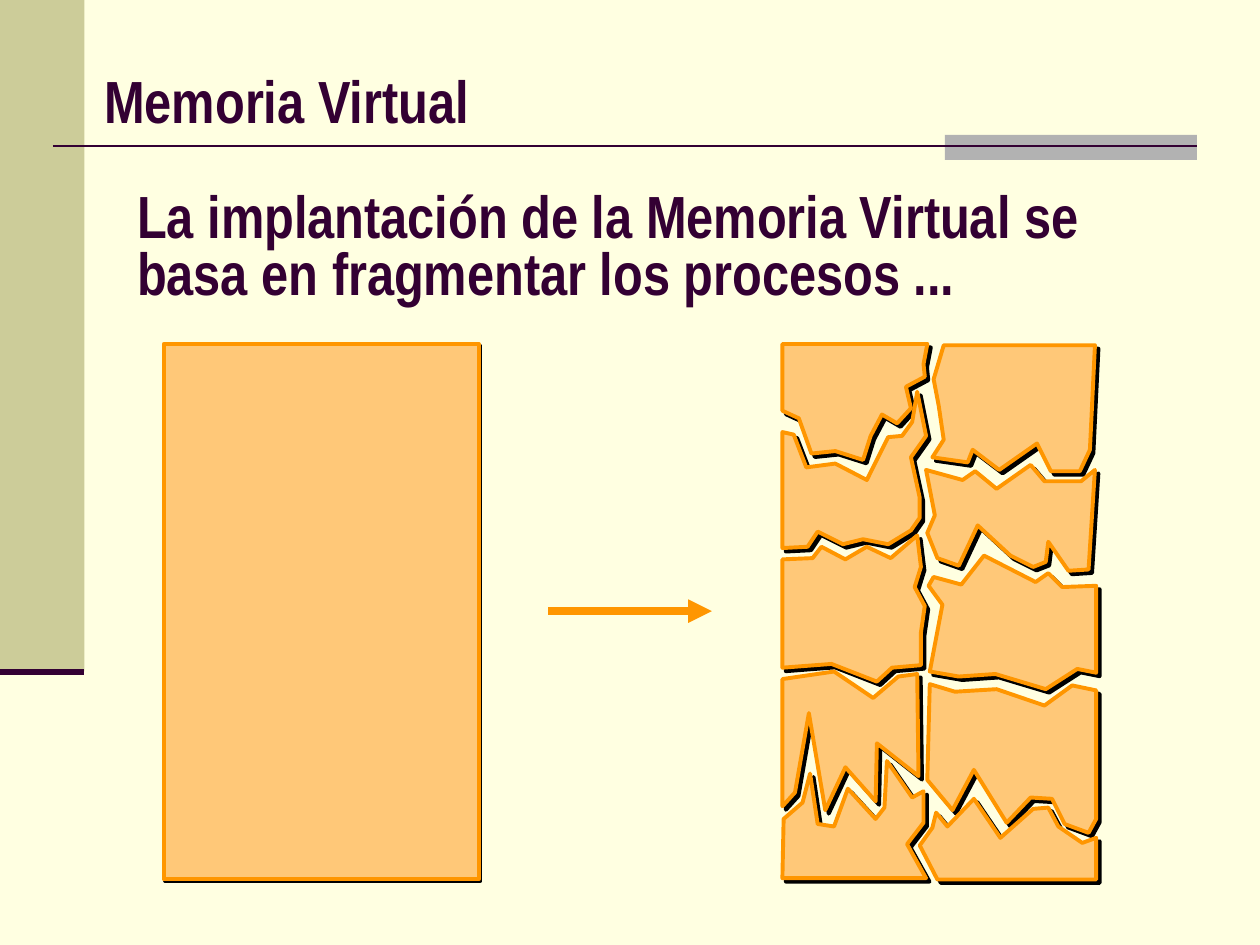
from lxml import etree
from pptx import Presentation, util as u
from pptx.dml.color import RGBColor
from pptx.enum import shapes, text
from pptx.oxml.ns import qn

COLS, ROWS = 1000, 750
DARK, SAND, GREY = "330033", "CCCC99", "B2B2B2"
FILL, EDGE = "FFC878", "FF9600"

# Outline points of each fragment, in columns and rows
LEFT = [
    [(621, 273), (736, 273), (733, 289), (734, 299), (719, 307), (723, 324),
     (712, 336), (700, 329), (691, 346), (685, 365), (663, 358), (644, 360),
     (634, 332), (621, 326)],
    [(621, 343), (630, 345), (640, 371), (663, 368), (688, 381), (705, 347),
     (716, 346), (724, 335), (728, 311), (735, 346), (723, 363), (730, 395),
     (730, 411), (723, 421), (705, 432), (685, 428), (669, 432), (649, 422),
     (641, 434), (621, 435)],
    [(621, 444), (645, 443), (652, 434), (671, 444), (688, 434), (707, 443),
     (728, 425), (731, 450), (726, 466), (734, 481), (731, 502), (731, 528),
     (708, 530), (696, 541), (660, 527), (621, 530)],
    [(621, 539), (662, 533), (693, 554), (713, 537), (728, 535), (729, 616),
     (696, 590), (695, 636), (671, 609), (655, 643), (642, 566), (631, 629),
     (621, 640)],
    [(622, 650), (637, 637), (643, 614), (649, 654), (662, 656), (673, 626),
     (695, 650), (702, 641), (704, 604), (724, 633), (733, 628), (733, 653),
     (720, 670), (735, 697), (621, 697)],
]
RIGHT = [
    [(869, 274), (749, 274), (741, 301), (745, 322), (749, 349), (740, 363),
     (768, 367), (772, 357), (793, 373), (823, 352), (834, 374), (857, 374),
     (865, 357)],
    [(869, 373), (858, 382), (829, 382), (818, 369), (791, 388), (774, 374),
     (764, 381), (735, 373), (742, 409), (736, 423), (744, 443), (761, 449),
     (776, 417), (802, 441), (820, 450), (830, 446), (832, 430), (848, 453),
     (864, 452)],
    [(870, 465), (843, 466), (832, 455), (822, 462), (781, 441), (763, 464),
     (741, 458), (737, 465), (748, 480), (741, 517), (738, 533), (761, 537),
     (790, 535), (830, 547), (855, 531), (870, 534)],
    [(870, 548), (851, 544), (829, 560), (791, 547), (758, 549), (738, 543),
     (736, 619), (756, 643), (773, 611), (799, 653), (818, 633), (835, 634),
     (845, 654), (864, 661), (870, 650)],
    [(870, 665), (859, 669), (840, 656), (832, 641), (820, 642), (794, 665),
     (773, 634), (752, 656), (743, 645), (740, 657), (730, 671), (744, 698),
     (870, 698)],
]


def rgb(code):
    return RGBColor.from_string(code)


class Deck:
    font, size, ink = "Arial Narrow", 34, DARK

    def __init__(self, back):
        self.file = Presentation()
        self.file.slide_width, self.file.slide_height = u.Inches(10), u.Inches(7.5)
        self.unit = self.file.slide_width // COLS
        self.slide = self.file.slides.add_slide(self.file.slide_layouts[6])
        self.slide.background.fill.solid()
        self.slide.background.fill.fore_color.rgb = rgb(back)

    def grid(self, *cells):
        return [cell * self.unit for cell in cells]

    def paint(self, shape, fill, edge=None, drop=0):
        shape.shadow.inherit = False
        shape.fill.solid()
        shape.fill.fore_color.rgb = rgb(fill)
        if edge:
            shape.line.color.rgb = rgb(edge)
            shape.line.width = u.Pt(2.25)
        else:
            shape.line.fill.background()
        if drop:
            effects = shape._element.spPr.find(qn("a:effectLst"))
            cast = etree.SubElement(effects, qn("a:outerShdw"), blurRad="0",
                                    dist=str(u.Pt(drop)), dir="2700000",
                                    algn="ctr", rotWithShape="0")
            etree.SubElement(cast, qn("a:srgbClr"), val="000000")

    def block(self, x, y, w, h, fill, edge=None, drop=0):
        shape = self.slide.shapes.add_shape(
            shapes.MSO_SHAPE.RECTANGLE, *self.grid(x, y, w, h))
        self.paint(shape, fill, edge, drop)

    def piece(self, points):
        pen = self.slide.shapes.build_freeform(*points[0], scale=self.unit)
        pen.add_line_segments(points[1:], close=True)
        shape = pen.convert_to_shape()
        self.paint(shape, FILL, EDGE, 2.8)
        etree.SubElement(shape.line._get_or_add_ln(), qn("a:round"))

    def rule(self, x1, y1, x2, y2, color, width, arrow=False):
        line = self.slide.shapes.add_connector(
            shapes.MSO_CONNECTOR.STRAIGHT, *self.grid(x1, y1, x2, y2))
        line.line.color.rgb = rgb(color)
        line.line.width = u.Pt(width)
        etree.SubElement(line._element.spPr, qn("a:effectLst"))
        if arrow:
            etree.SubElement(line.line._get_or_add_ln(), qn("a:tailEnd"),
                             type="triangle")

    def label(self, x, y, w, h, words, gap=1.0):
        frame = self.slide.shapes.add_textbox(*self.grid(x, y, w, h)).text_frame
        frame.word_wrap = True
        frame.vertical_anchor = text.MSO_ANCHOR.MIDDLE
        frame.text = words
        para = frame.paragraphs[0]
        para.line_spacing = gap
        font = para.runs[0].font
        font.name, font.size, font.bold = self.font, u.Pt(self.size), True
        font.color.rgb = rgb(self.ink)


def main():
    deck = Deck("FFFFE1")

    # Side band and header rule
    deck.block(0, 0, 67, 533, SAND)
    deck.block(750, 107, 200, 20, GREY)
    deck.rule(42, 116, 950, 116, DARK, 1.5)
    deck.rule(0, 533, 67, 533, DARK, 3.5)

    # Headings
    deck.label(73, 44, 900, 71, "Memoria Virtual")
    deck.label(99, 139, 850, 118, "La implantación de la Memoria Virtual se "
               "basa en fragmentar los procesos ...", 0.8)

    # Whole process, then its fragments
    deck.block(130, 273, 250, 425, FILL, EDGE, 1.4)
    for points in LEFT + RIGHT:
        deck.piece(points)
    deck.rule(435, 485, 565, 485, EDGE, 4.5, arrow=True)

    deck.file.save("out.pptx")


if __name__ == "__main__":
    main()
